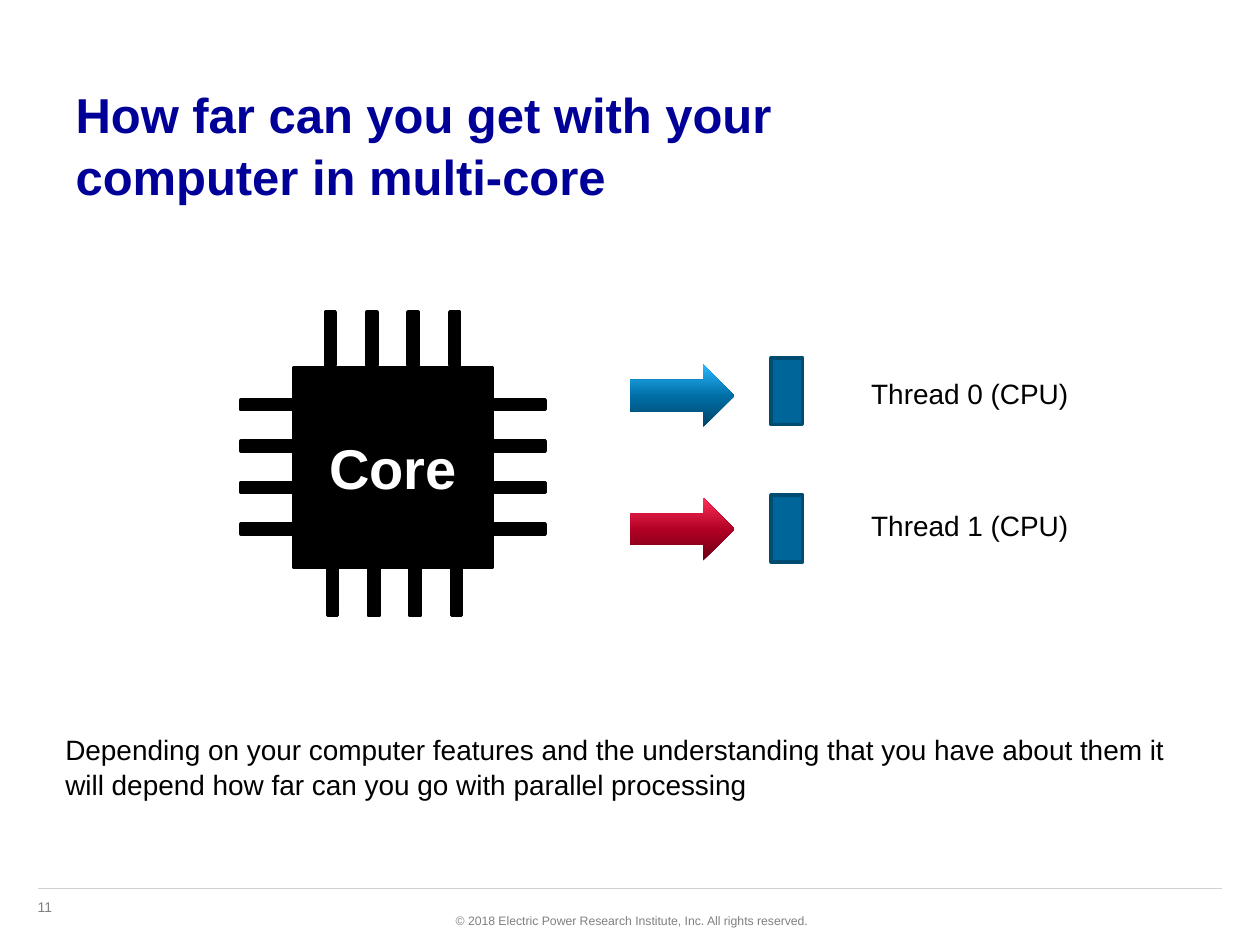
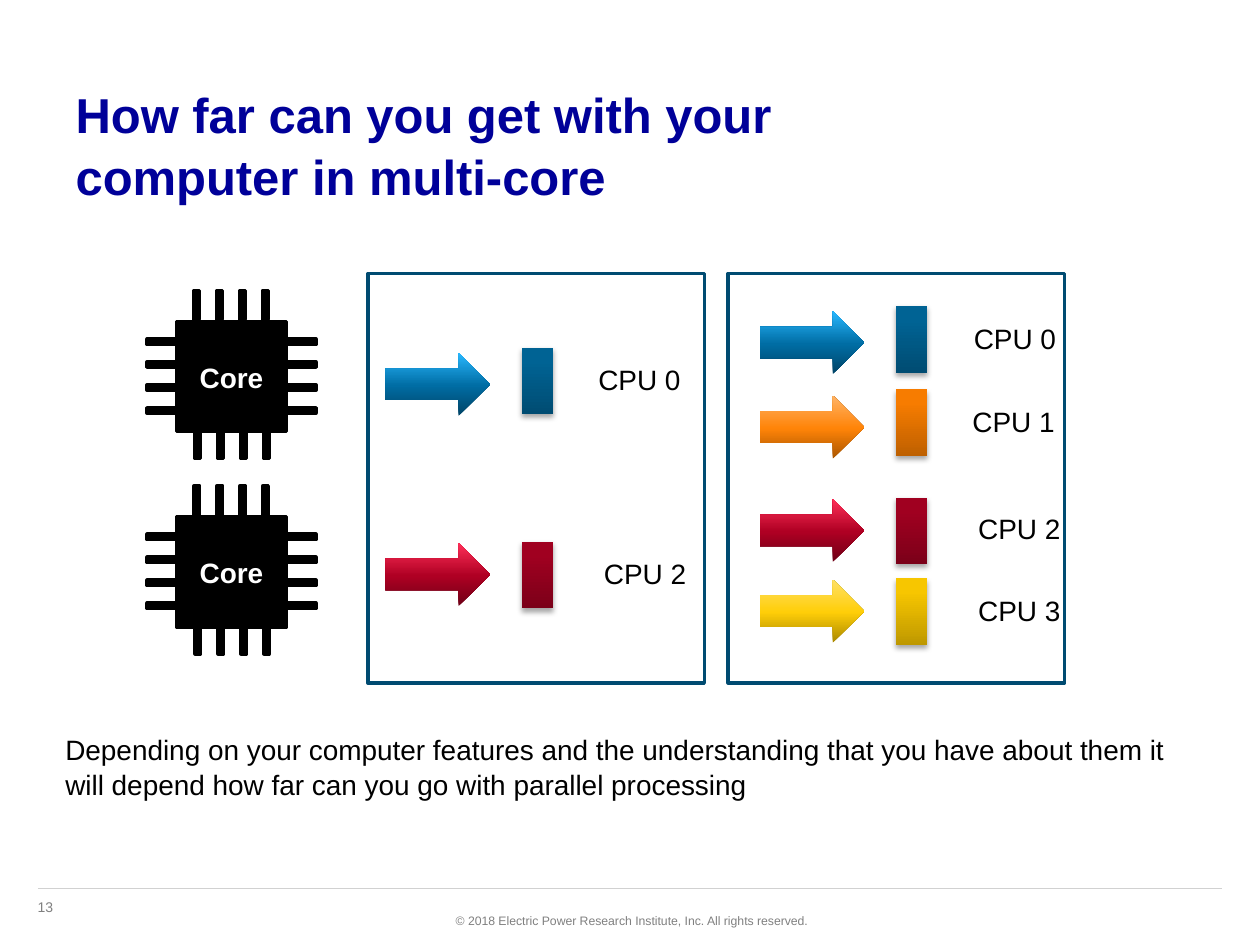
"""Build two slides on how cores map to threads and CPUs."""
from copy import deepcopy
from dataclasses import dataclass, field

from lxml import etree
from pptx import Presentation
from pptx import util as u
from pptx.dml.color import RGBColor
from pptx.enum import shapes, text
from pptx.oxml.ns import qn

COLUMNS, ROWS = 100, 75
HEADING = "How far can you get with your\ncomputer in multi-core"
REMARK = ("Depending on your computer features and the understanding that you have "
          "about them it will depend how far can you go with parallel processing")
COPYRIGHT = "© 2018 Electric Power Research Institute, Inc. All rights reserved."


@dataclass
class Theme:
    """Colours, font and type sizes of the deck."""
    font: str = "Arial"
    heading: str = "000099"
    ink: str = "000000"
    paper: str = "FFFFFF"
    muted: str = "808080"
    rule: str = "D1D1D1"
    block: str = "006699"
    edge: str = "004B71"
    heading_size: int = 28
    big_core_size: int = 32
    text_size: int = 16
    number_size: int = 8
    copyright_size: int = 7
    outline: int = 2
    leading: float = 1.05
    arrow_stops: tuple = (0, 0.48, 1)
    bar_stops: tuple = (0, 0.8, 1)
    arrows: dict = field(default_factory=lambda: {
        "blue": ("004467", "006DA4", "29B8FF"),
        "orange": ("AB5600", "FF8408", "FFB366"),
        "red": ("6F0016", "AF0023", "FF3059"),
        "yellow": ("AB8900", "FFCE08", "FFE066")})
    bars: dict = field(default_factory=lambda: {
        "blue": ("004C72", "006394", "006395"),
        "orange": ("BE6000", "F77C00", "F87D00"),
        "red": ("7B0019", "A00020", "A10020"),
        "yellow": ("BE9800", "F7C600", "F8C700")})


class Deck:
    """Holds the theme and the current slide, and draws each kind of element."""

    def __init__(self, theme):
        """Start an empty deck."""
        self.theme = theme
        self.show = Presentation()
        self.show.slide_width, self.show.slide_height = u.Inches(10), u.Inches(7.5)
        self.slide = None

    def grid(self, x, y, *size):
        """Turn columns and rows into slide lengths."""
        units = (self.show.slide_width / COLUMNS, self.show.slide_height / ROWS)
        return [round(value * units[i % 2]) for i, value in enumerate((x, y, *size))]

    def page(self, number):
        """Add a slide with the shared heading, remark and footer."""
        theme = self.theme
        self.slide = self.show.slides.add_slide(self.show.slide_layouts[5])
        heading = self.slide.shapes.title
        heading.left, heading.top, heading.width, heading.height = self.grid(5, 6, 90, 12.5)
        self.set_words(heading, HEADING, theme.heading_size, theme.heading,
                       bold=True, leading=theme.leading)
        remark = self.label((4.2, 57.5, 91.6, 9.1), REMARK, theme.text_size, theme.ink,
                            leading=theme.leading)
        remark.text_frame.paragraphs[0].space_after = u.Pt(6)
        self.label((2, 70.8, 6.6, 2.4), number, theme.number_size, theme.muted)
        self.label((34.9, 72, 30.2, 2.2), COPYRIGHT, theme.copyright_size, theme.muted,
                   align=text.PP_ALIGN.RIGHT, wrap=False)
        self.rule(3, 97, 70.5)

    def set_words(self, holder, words, size, color, bold=False,
                  align=text.PP_ALIGN.LEFT, wrap=True, leading=1.0):
        """Put formatted words into a shape."""
        frame = holder.text_frame
        frame.word_wrap = wrap
        frame.auto_size = text.MSO_AUTO_SIZE.NONE
        frame.vertical_anchor = text.MSO_ANCHOR.TOP
        paragraph = frame.paragraphs[0]
        paragraph.text = words
        paragraph.alignment = align
        paragraph.line_spacing = leading
        paragraph.space_before = u.Pt(0)
        for run in paragraph.runs:
            run.font.name, run.font.size, run.font.bold = self.theme.font, u.Pt(size), bold
            run.font.color.rgb = RGBColor.from_string(color)

    def label(self, place, words, size, color, into=None, **style):
        """Add a text box on the slide or in a group."""
        box = (into or self.slide.shapes).add_textbox(*self.grid(*place))
        self.set_words(box, words, size, color, **style)
        return box

    def rule(self, start, end, y):
        """Draw the thin line above the footer."""
        rule = self.slide.shapes.add_connector(
            shapes.MSO_CONNECTOR.STRAIGHT, *self.grid(start, y, end, y))
        rule.line.color.rgb = RGBColor.from_string(self.theme.rule)
        rule.line.width = u.Pt(0.75)
        etree.SubElement(rule.element.spPr, qn("a:effectLst"))

    def shape(self, place, fill=None, line=None, kind=shapes.MSO_SHAPE.RECTANGLE, into=None):
        """Add a preset shape with a plain fill and outline."""
        part = (into or self.slide.shapes).add_shape(kind, *self.grid(*place))
        part.shadow.inherit = False
        if fill:
            part.fill.solid()
            part.fill.fore_color.rgb = RGBColor.from_string(fill)
        else:
            part.fill.background()
        if line:
            part.line.color.rgb = RGBColor.from_string(line)
            part.line.width = u.Pt(self.theme.outline)
        else:
            part.line.fill.background()
        return part

    def shade(self, part, positions, colors):
        """Fill a shape with a gradient that runs upward."""
        part.fill.gradient()
        part.fill.gradient_angle = 90
        stops = part.element.spPr.find(qn("a:gradFill")).find(qn("a:gsLst"))
        stops.append(deepcopy(stops[-1]))
        for stop, position, color in zip(part.fill.gradient_stops, positions, colors):
            stop.position = position
            stop.color.rgb = RGBColor.from_string(color)

    def cast_shadow(self, part):
        """Give a shape a soft shadow below it."""
        effects = part.element.spPr.find(qn("a:effectLst"))
        shadow = etree.SubElement(effects, qn("a:outerShdw"), blurRad=str(u.Pt(3.1)),
                                  dist=str(u.Pt(1.8)), dir="5400000", rotWithShape="0")
        color = etree.SubElement(shadow, qn("a:srgbClr"), val=self.theme.ink)
        etree.SubElement(color, qn("a:alpha"), val="35000")

    def chip(self, x, y, side, size):
        """Draw a core with four pins on each edge, in shares of its side."""
        ink = self.theme.ink
        chip = self.slide.shapes.add_group_shape().shapes

        def scaled(left, top, width, height):
            return x + left * side, y + top * side, width * side, height * side

        self.shape(scaled(0, 0, 1, 1), ink, ink, into=chip)
        thick, long = 0.05, 0.265
        for pin in range(4):
            near = 0.16 + pin * 0.208
            far = near + 0.01
            for place in ((near, -0.28, thick, long), (far, 0.98, thick, long),
                          (-long, near, long, thick), (1, near, long, thick)):
                self.shape(scaled(*place), ink, ink, into=chip)
        self.label(scaled(0.095, 0.3, 0.81, 0.35), "Core", size, self.theme.paper,
                   into=chip, bold=True, align=text.PP_ALIGN.CENTER, wrap=False)

    def arrow(self, x, y, hue):
        """Draw a shaded arrow to the right."""
        arrow = self.shape((x, y, 8.3, 5), kind=shapes.MSO_SHAPE.RIGHT_ARROW)
        self.shade(arrow, self.theme.arrow_stops, self.theme.arrows[hue])

    def bar(self, x, y, hue=None):
        """Draw a processing unit, shaded in a hue or plain with an edge."""
        place = (x, y, 2.5, 5.3)
        if hue is None:
            self.shape(place, self.theme.block, self.theme.edge)
            return
        bar = self.shape(place)
        self.shade(bar, self.theme.bar_stops, self.theme.bars[hue])
        self.cast_shadow(bar)

    def caption(self, middle, y, words, width):
        """Set a unit's name centred on a column."""
        self.label((middle - width / 2, y, width, 4), words, self.theme.text_size,
                   self.theme.ink, align=text.PP_ALIGN.CENTER)

    def panel(self, x):
        """Draw the frame around a set of units."""
        self.shape((x, 21.7, 26.7, 32.5), line=self.theme.edge)


def threads_page(deck):
    """Show one core with two threads."""
    deck.page("11")
    deck.chip(23.3, 29.2, 15.8, deck.theme.big_core_size)
    threads = (("Thread 0 (CPU)", "blue", 28.9, 28.4, 29.4),
               ("Thread 1 (CPU)", "red", 39.5, 39.3, 39.9))
    for name, hue, arrow_y, bar_y, name_y in threads:
        deck.arrow(50, arrow_y, hue)
        deck.bar(61.2, bar_y)
        deck.caption(76.97, name_y, name, 22)


def cpus_page(deck):
    """Show two cores beside two ways of numbering their CPUs."""
    deck.page("13")
    for y in (25.5, 41):
        deck.chip(14, y, 8.75, deck.theme.text_size)
    panels = ((29.2, 30.6, (("CPU 0", "blue", 28, 27.6, 28.3, 20.15),
                            ("CPU 2", "red", 43.1, 43, 43.7, 20.6))),
              (57.8, 60.3, (("CPU 0", "blue", 24.7, 24.3, 25, 20.25),
                            ("CPU 1", "orange", 31.4, 30.9, 31.6, 20.15),
                            ("CPU 2", "red", 39.6, 39.5, 40.1, 20.6),
                            ("CPU 3", "yellow", 46, 45.9, 46.6, 20.6))))
    for frame_x, arrow_x, cpus in panels:
        deck.panel(frame_x)
        for name, hue, arrow_y, bar_y, name_y, name_shift in cpus:
            deck.arrow(arrow_x, arrow_y, hue)
            deck.bar(arrow_x + 10.8, bar_y, hue)
            deck.caption(arrow_x + name_shift, name_y, name, 13)


def main():
    """Build and save the deck."""
    deck = Deck(Theme())
    threads_page(deck)
    cpus_page(deck)
    deck.show.save("out.pptx")


if __name__ == "__main__":
    main()
